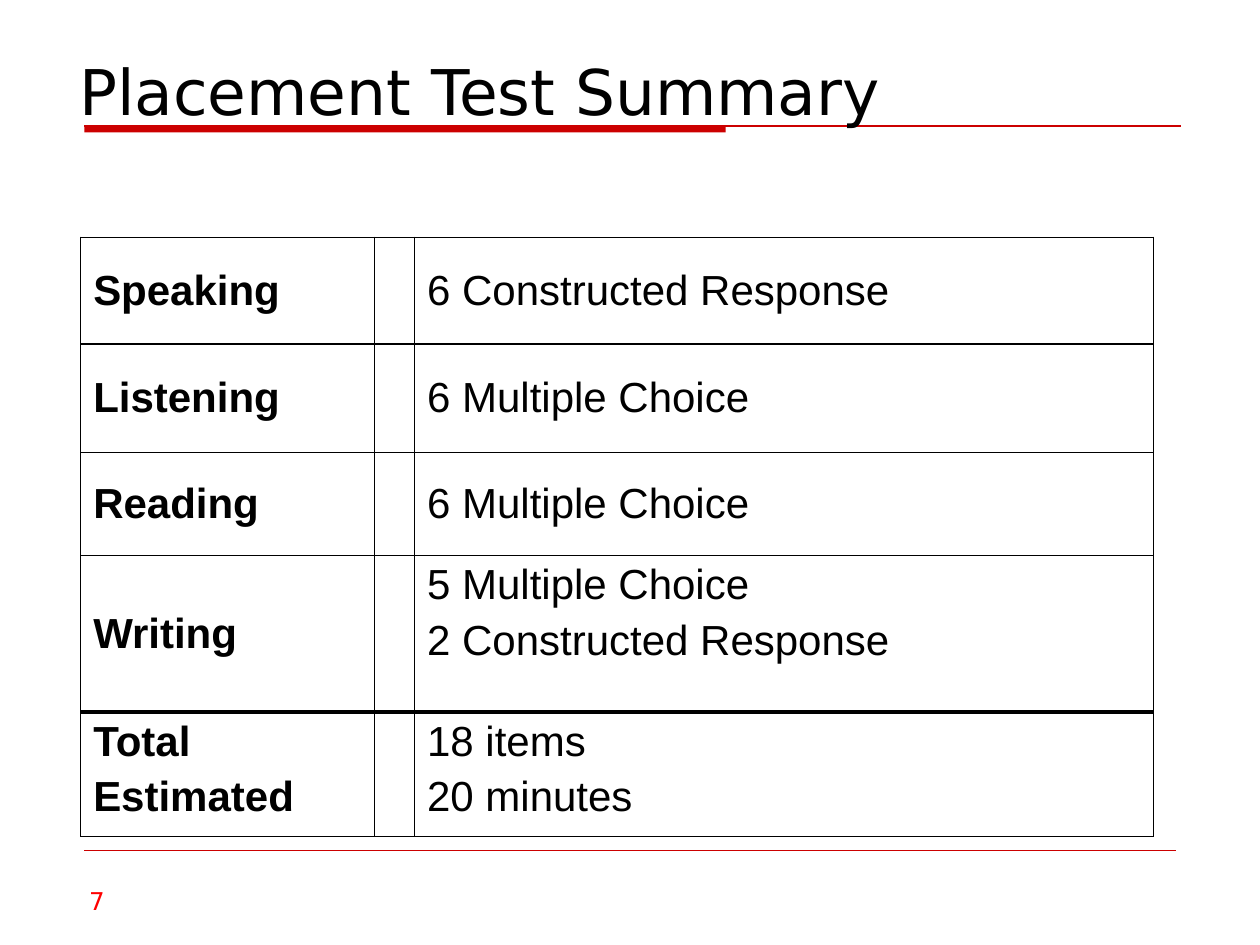
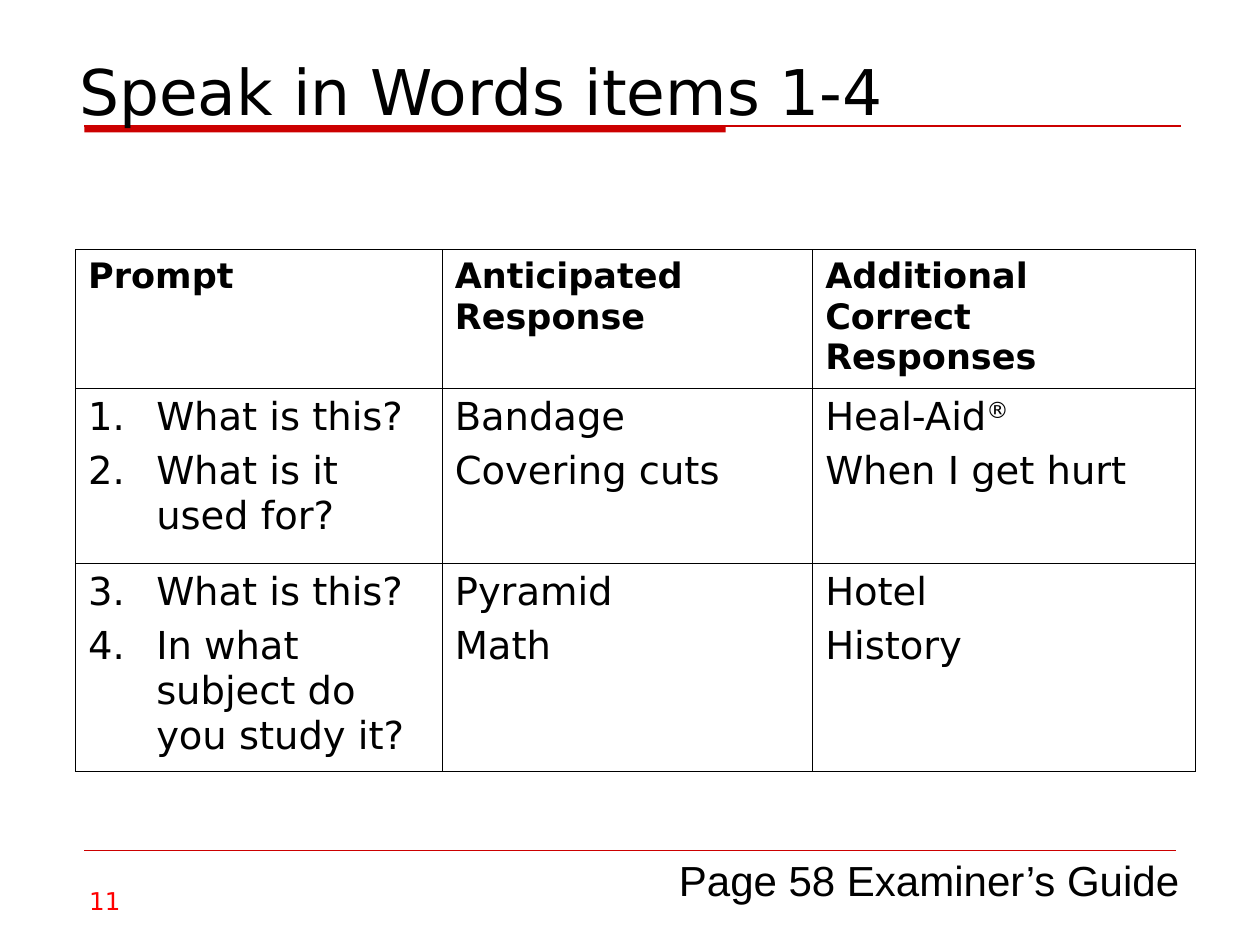
from lxml import etree
from pptx import Presentation
from pptx.dml.color import RGBColor
from pptx.enum.shapes import MSO_CONNECTOR, MSO_SHAPE
from pptx.enum.text import MSO_ANCHOR, MSO_AUTO_SIZE, PP_ALIGN
from pptx.oxml.ns import qn
from pptx.util import Inches, Pt

# Shared look
RED, BRIGHT_RED, BLACK, WHITE = "CC0000", "FF0000", "000000", "FFFFFF"
SANS, ARIAL = "DejaVu Sans", "Arial"
THIN, MEDIUM, HEAVY = 0.45, 0.75, 2.21
RULE_LEFT, RULE_TOP = 0.67, 1.0


def rgb(value):
    return RGBColor.from_string(value)


def add_run(p, text, size, font=SANS, color=BLACK, bold=False):
    r = p.add_run()
    r.text = text
    r.font.size, r.font.name, r.font.bold = Pt(size), font, bold
    r.font.color.rgb = rgb(color)
    if text == "®":
        r.font._element.set("baseline", "30000")


def add_number(p, start):
    """Number a paragraph, with a hanging indent."""
    pPr = p._p.get_or_add_pPr()
    pPr.set("marL", str(Inches(0.54)))
    pPr.set("indent", str(-Inches(0.54)))
    number = etree.SubElement(pPr, qn("a:buAutoNum"), type="arabicPeriod")
    number.set("startAt", str(start))


def add_line(s, left, top, right, width):
    line = s.shapes.add_connector(MSO_CONNECTOR.STRAIGHT, Inches(left), Inches(top),
                                  Inches(right), Inches(top))
    line.line.color.rgb = rgb(RED)
    line.line.width = Pt(width)
    etree.SubElement(line._element.spPr, qn("a:effectLst"))


def add_text_box(s, left, top, width, height, text, size, font, color):
    box = s.shapes.add_textbox(Inches(left), Inches(top), Inches(width), Inches(height))
    tf = box.text_frame
    tf.word_wrap = True
    add_run(tf.paragraphs[0], text, size, font, color)


def add_slide(prs, title, number):
    """Title over a red rule, a thin footer line and the slide number."""
    s = prs.slides.add_slide(prs.slide_layouts[5])
    bar = s.shapes.add_shape(MSO_SHAPE.RECTANGLE, Inches(RULE_LEFT), Inches(RULE_TOP),
                             Inches(5.09), Inches(0.05))
    bar.shadow.inherit = False
    bar.fill.solid()
    bar.fill.fore_color.rgb = rgb(RED)
    bar.line.fill.background()
    add_line(s, RULE_LEFT, RULE_TOP, 9.37, 0.75)
    add_line(s, RULE_LEFT, 6.75, 9.33, 0.25)

    # The title stands in front of the rule
    sp = s.shapes.title
    s.shapes._spTree.append(sp._element)
    sp.left, sp.top, sp.width, sp.height = map(Inches, (0.63, 0.33, 8.75, 0.69))
    tf = sp.text_frame
    tf.auto_size, tf.vertical_anchor = MSO_AUTO_SIZE.NONE, MSO_ANCHOR.BOTTOM
    tf.margin_left = tf.margin_top = tf.margin_right = tf.margin_bottom = 0
    p = tf.paragraphs[0]
    p.alignment = PP_ALIGN.LEFT
    add_run(p, title, 36)

    add_text_box(s, 0.61, 6.98, 2.17, 0.38, str(number), 14, SANS, BRIGHT_RED)
    return s


def set_borders(cell, top, bottom):
    tcPr = cell._tc.get_or_add_tcPr()
    for side, width in (("L", THIN), ("R", THIN), ("T", top), ("B", bottom)):
        ln = etree.SubElement(tcPr, qn(f"a:ln{side}"), w=str(Pt(width)))
        fill = etree.SubElement(ln, qn("a:solidFill"))
        etree.SubElement(fill, qn("a:srgbClr"), val=BLACK)


def fill_cell(cell, lines, size, font, bold, gap, start=None):
    """Write one paragraph per line, numbered from start if it is given."""
    for i, line in enumerate(lines):
        p = cell.text_frame.paragraphs[0] if i == 0 else cell.text_frame.add_paragraph()
        if i:
            p.space_before = Pt(gap)
        if start:
            add_number(p, start)
        for part in filter(None, line.partition("®")):
            add_run(p, part, size, font, bold=bold)


def add_grid(s, left, top, columns, heights, edges):
    """Plain white table; edges are the widths of its horizontal lines."""
    table = s.shapes.add_table(len(heights), len(columns), Inches(left), Inches(top),
                               Inches(sum(columns)), Inches(sum(heights))).table
    table.first_row = table.horz_banding = False
    for column, width in zip(table.columns, columns):
        column.width = Inches(width)
    for i, height in enumerate(heights):
        table.rows[i].height = Inches(height)
        for cell in table.rows[i].cells:
            set_borders(cell, edges[i], edges[i + 1])
            cell.fill.solid()
            cell.fill.fore_color.rgb = rgb(WHITE)
    return table


def add_summary_slide(prs):
    s = add_slide(prs, "Placement Test Summary", 7)
    rows = [
        (["Speaking"], ["6 Constructed Response"]),
        (["Listening"], ["6 Multiple Choice"]),
        (["Reading"], ["6 Multiple Choice"]),
        (["Writing"], ["5 Multiple Choice", "2 Constructed Response"]),
        (["Total", "Estimated"], ["18 items", "20 minutes"]),
    ]
    table = add_grid(s, 0.64, 1.88, [2.33, 0.32, 5.86], [0.85, 0.86, 0.82, 1.24, 0.99],
                     [THIN, MEDIUM, MEDIUM, MEDIUM, HEAVY, THIN])
    for i, (skill, items) in enumerate(rows):
        for column, lines in ((0, skill), (2, items)):
            cell = table.cell(i, column)
            # Single lines are centred, except in the row of totals
            if len(lines) == 1:
                cell.vertical_anchor = MSO_ANCHOR.MIDDLE
            fill_cell(cell, lines, 24, ARIAL, bold=column == 0, gap=5)


def add_items_slide(prs):
    s = add_slide(prs, "Speak in Words items 1-4", 11)
    add_text_box(s, 5.29, 6.73, 4.5, 0.5, "Page 58 Examiner’s Guide", 24, ARIAL, BLACK)
    header = ["Prompt", "Anticipated Response", "Additional Correct Responses"]
    rows = [
        (["What is this?", "What is it used for?"],
         ["Bandage", "Covering cuts"],
         ["Heal-Aid®", "When I get hurt"]),
        (["What is this?", "In what subject do you study it?"],
         ["Pyramid", "Math"],
         ["Hotel", "History"]),
    ]
    table = add_grid(s, 0.6, 1.98, [2.91, 2.94, 3.04], [1.1, 1.39, 1.65], [THIN] * 4)
    for column, text in enumerate(header):
        fill_cell(table.cell(0, column), [text], 20, SANS, bold=True, gap=0)
    first_item = 1
    for i, row in enumerate(rows, 1):
        for column, lines in enumerate(row):
            fill_cell(table.cell(i, column), lines, 22, SANS, bold=False, gap=5.5,
                      start=first_item if column == 0 else None)
        first_item += len(row[0])


def main():
    prs = Presentation()
    prs.slide_width, prs.slide_height = Inches(10), Inches(7.5)
    add_summary_slide(prs)
    add_items_slide(prs)
    prs.save("out.pptx")


if __name__ == "__main__":
    main()
